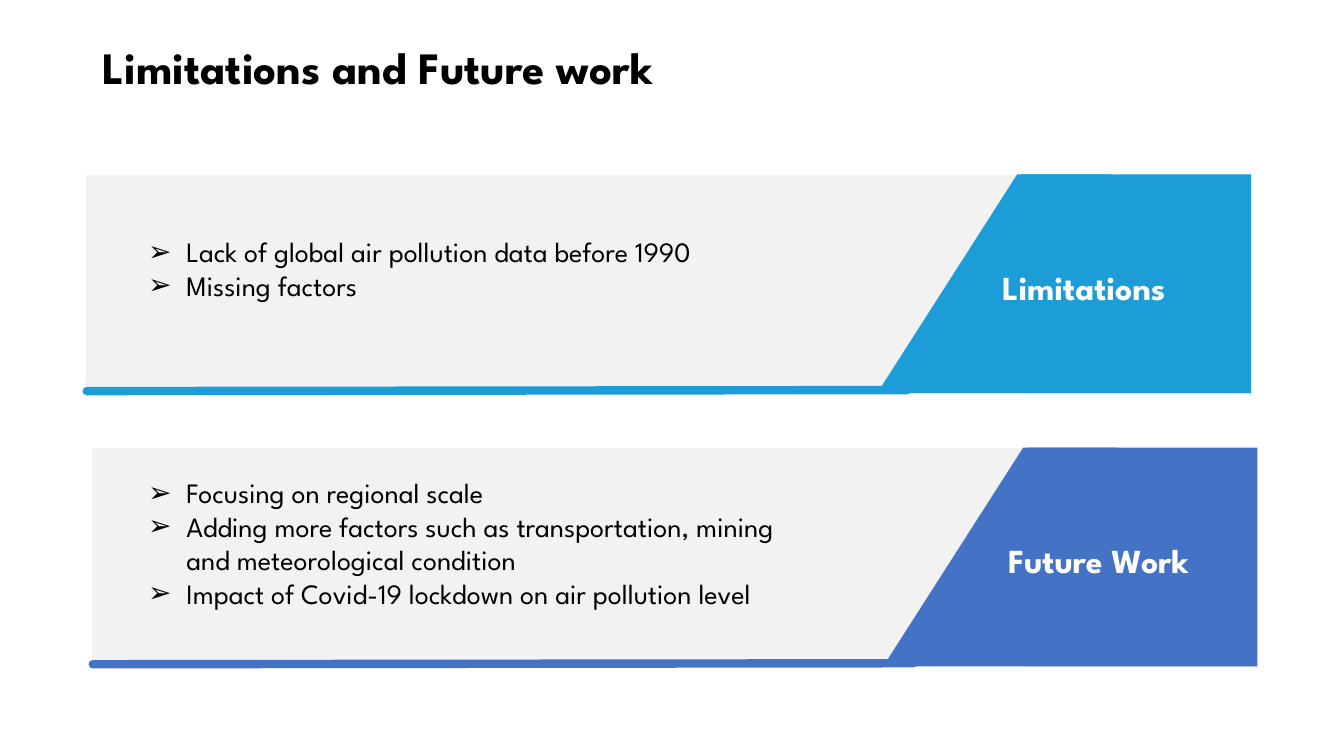
"""Builds the slide on limitations and future work, with two banded panels."""
from lxml.etree import SubElement
from pptx import Presentation
from pptx.dml.color import RGBColor as RGB
from pptx.enum.shapes import MSO_CONNECTOR as CONN, MSO_SHAPE as SHAPE
from pptx.enum.text import MSO_ANCHOR as ANCHOR, MSO_AUTO_SIZE as FIT, PP_ALIGN as ALIGN
from pptx.oxml.ns import qn
from pptx.util import Pt

PX = 9144
COLORS = {"ink": "000000", "white": "FFFFFF", "panel": "F2F2F2", "sky": "1D9DD8", "blue": "4472C4"}


def add_block(kind, box, color):
    sp = s.shapes.add_shape(kind, *[v * PX for v in box])
    sp.shadow.inherit = False
    sp.fill.solid()
    sp.fill.fore_color.rgb = RGB.from_string(COLORS[color])
    sp.line.fill.background()
    return sp


def write(sp, lines, size, color, bold=False, bullet=None):
    tf = sp.text_frame
    tf.word_wrap = True
    tf.text = "\n".join(lines)
    for p in tf.paragraphs:
        p.alignment = ALIGN.LEFT
        font = p.runs[0].font
        for name, value in {"name": "League Spartan", "size": Pt(size), "bold": bold}.items():
            setattr(font, name, value)
        font.color.rgb = RGB.from_string(COLORS[color])
        if bullet:
            pPr = p._p.get_or_add_pPr()
            pPr.set("marL", str(38 * PX))
            pPr.set("indent", str(-38 * PX))
            SubElement(pPr, qn("a:buFont")).set("typeface", "Arial")
            SubElement(pPr, qn("a:buChar")).set("char", bullet)


prs = Presentation()
prs.slide_width, prs.slide_height = 1333 * PX, 750 * PX
s = prs.slides.add_slide(prs.slide_layouts[5])

title = s.shapes.title
for name, value in {"left": 92, "top": 40, "width": 1150, "height": 58}.items():
    setattr(title, name, value * PX)
write(title, ["Limitations and Future work"], 32, "ink", bold=True)
title.text_frame.vertical_anchor = ANCHOR.MIDDLE
title.text_frame.auto_size = FIT.NONE
title.text_frame.paragraphs[0].line_spacing = 0.9

panels = [
    (86, 174, "sky", "Limitations", (228, 77),
     ["Lack of global air pollution data before 1990", "Missing factors"]),
    (92, 445, "blue", "Future Work", (467, 178),
     ["Focusing on regional scale",
      "Adding more factors such as transportation, mining and meteorological condition",
      "Impact of Covid-19 lockdown on air pollution level"]),
]
for x, y, color, label, (text_y, text_h), points in panels:
    panel = add_block(SHAPE.RECTANGLE, (x, y, 991, 211), "panel")
    panel.line.color.rgb = RGB.from_string(COLORS["panel"])
    panel.line.width = Pt(1)

    slant = add_block(SHAPE.TRAPEZOID, (x + 784, y - 1, 371, 217), color)
    slant.adjustments[0] = 0.64
    add_block(SHAPE.RECTANGLE, (x + 927, y - 1, 228, 217), color)

    rule = s.shapes.add_connector(
        CONN.STRAIGHT, x * PX, (y + 214) * PX, (x + 814) * PX, (y + 213) * PX)
    rule.line.color.rgb = RGB.from_string(COLORS[color])
    rule.line.width = Pt(6)
    rule.line._get_or_add_ln().set("cap", "rnd")
    SubElement(rule._element.spPr, qn("a:effectLst"))

    body = s.shapes.add_textbox(137 * PX, text_y * PX, 682 * PX, text_h * PX)
    write(body, points, 20, "ink", bullet="➢")
    tag = s.shapes.add_textbox((x + 898) * PX, (y + 86) * PX, 212 * PX, 50 * PX)
    write(tag, [label], 24, "white", bold=True)

prs.save("out.pptx")
